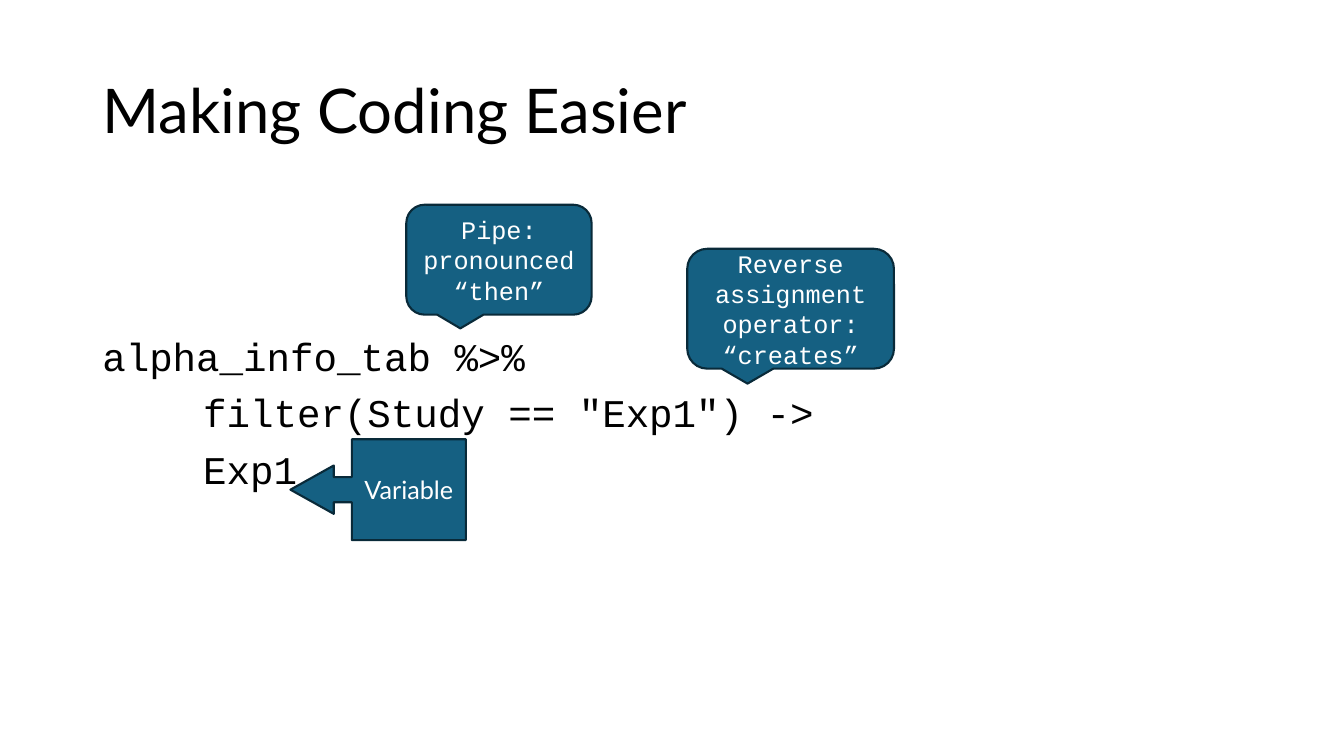
from pptx import Presentation
from pptx.dml.color import RGBColor
from pptx.enum.shapes import MSO_SHAPE
from pptx.enum.text import MSO_ANCHOR, PP_ALIGN
from pptx.util import Cm, Pt

COLORS = {"text": "000000", "fill": "156082", "outline": "092A39", "label": "FFFFFF"}
CODE_FONT = "Courier New"
PROSE_FONT = "Lato"


def style(para, font_name, size, color):
    para.font.name = font_name
    para.font.size = Pt(size)
    para.font.color.rgb = RGBColor.from_string(COLORS[color])


deck = Presentation()
deck.slide_width = Cm(33.87)
deck.slide_height = Cm(19.05)
page = deck.slides.add_slide(deck.slide_layouts[6])

title_box = page.shapes.add_textbox(Cm(2.33), Cm(1.01), Cm(29.21), Cm(3.68))
title_box.text_frame.word_wrap = True
title_box.text_frame.vertical_anchor = MSO_ANCHOR.MIDDLE
title = title_box.text_frame.paragraphs[0]
title.text = "Making Coding Easier"
title.line_spacing = 0.9
style(title, PROSE_FONT, 44, "text")

code_lines = [
    ("alpha_info_tab %>%", 0),
    ('filter(Study == "Exp1") ->', 2.54),
    ("Exp1", 2.54),
]
code_box = page.shapes.add_textbox(Cm(2.33), Cm(8.38), Cm(29.21), Cm(12.09))
code_box.text_frame.word_wrap = True
code_box.text_frame.text = "\n".join(line for line, indent in code_lines)
for para, (line, indent) in zip(code_box.text_frame.paragraphs, code_lines):
    para._p.get_or_add_pPr().set("marL", str(Cm(indent)))
    para.line_spacing = 0.9
    para.space_before = Pt(10)
    style(para, CODE_FONT, 28, "text")

callouts = [
    (MSO_SHAPE.ROUNDED_RECTANGULAR_CALLOUT, (10.24, 5.16, 4.67, 2.77), [],
     "Pipe: pronounced “then”", CODE_FONT),
    (MSO_SHAPE.ROUNDED_RECTANGULAR_CALLOUT, (17.32, 6.27, 5.21, 3.02), [],
     "Reverse assignment operator: “creates”", CODE_FONT),
    (MSO_SHAPE.LEFT_ARROW_CALLOUT, (7.32, 11.07, 4.42, 2.54), [0.25, 0.24, 0.43, 0.65],
     "Variable", PROSE_FONT),
]
for kind, place, adjustments, label, font_name in callouts:
    callout = page.shapes.add_shape(kind, *[Cm(length) for length in place])
    for index, value in enumerate(adjustments):
        callout.adjustments[index] = value
    callout.shadow.inherit = False
    callout.fill.solid()
    callout.fill.fore_color.rgb = RGBColor.from_string(COLORS["fill"])
    callout.line.color.rgb = RGBColor.from_string(COLORS["outline"])
    callout.line.width = Pt(1.5)
    callout.text_frame.word_wrap = True
    callout.text_frame.vertical_anchor = MSO_ANCHOR.MIDDLE
    para = callout.text_frame.paragraphs[0]
    para.text = label
    para.alignment = PP_ALIGN.CENTER
    style(para, font_name, 18, "label")

deck.save("out.pptx")
